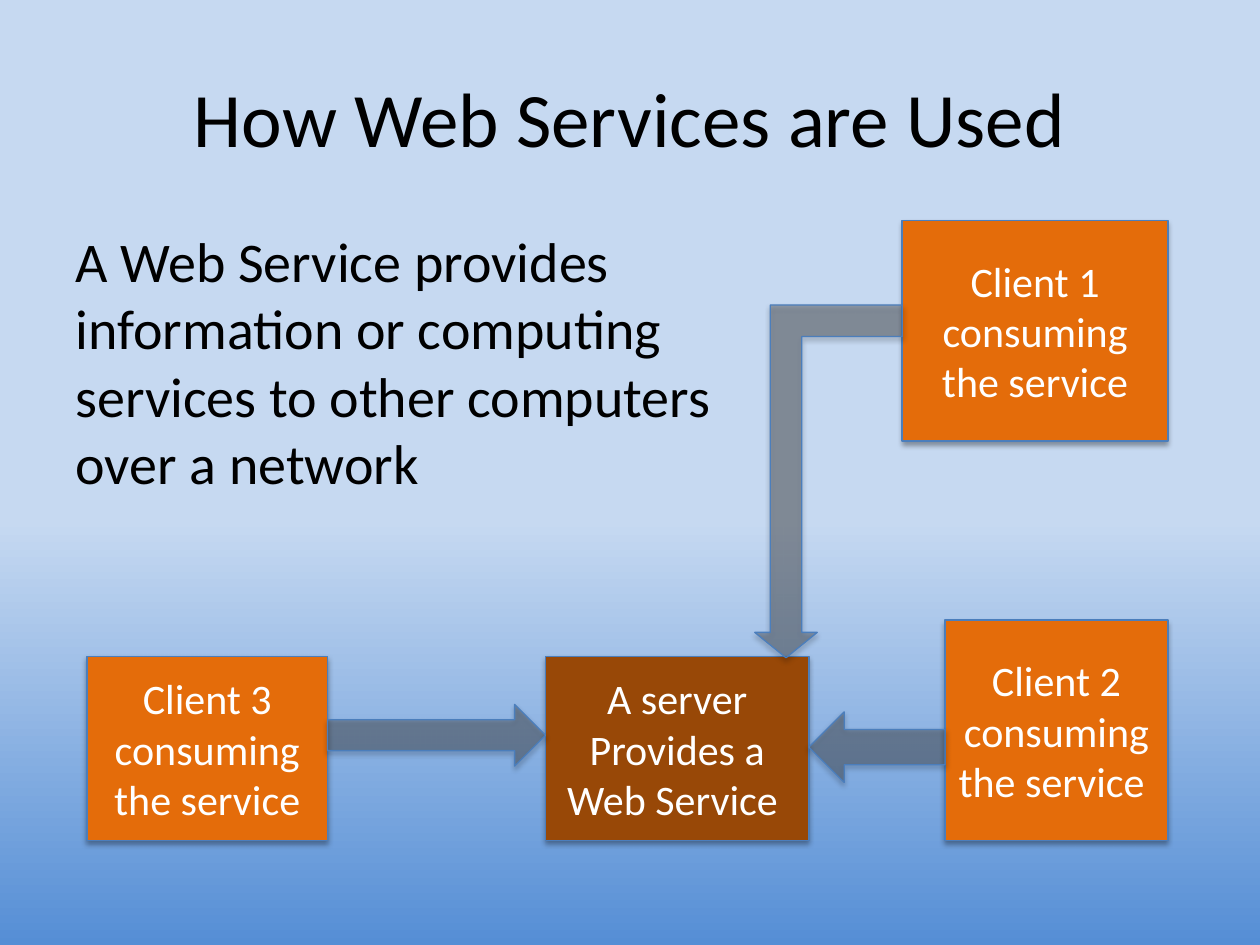
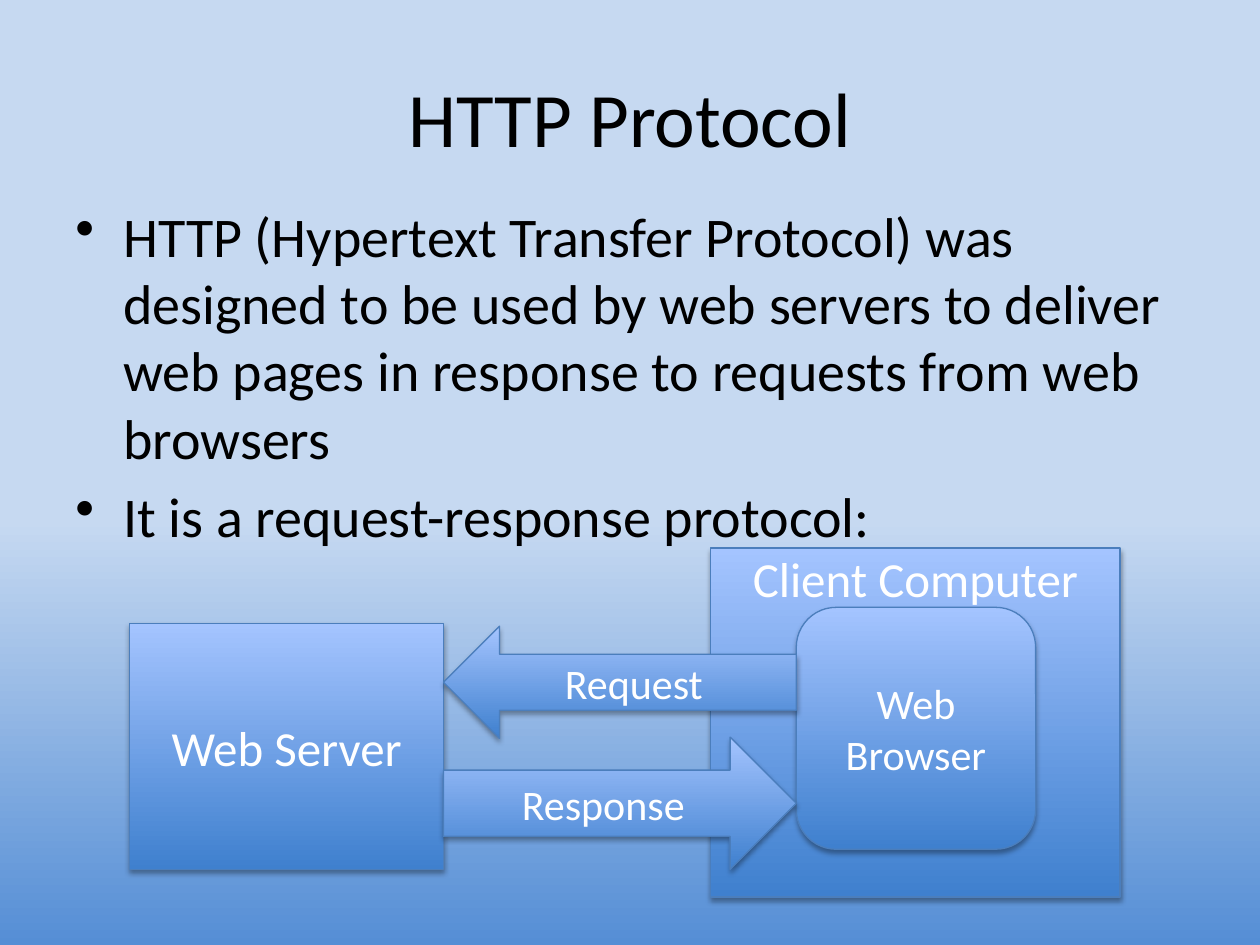
from dataclasses import dataclass
from lxml.etree import SubElement
from pptx import Presentation
from pptx.dml.color import RGBColor
from pptx.enum.shapes import MSO_SHAPE
from pptx.enum.text import MSO_ANCHOR, PP_ALIGN
from pptx.oxml.ns import qn
from pptx.util import Inches, Pt


@dataclass(frozen=True)
class Theme:
    font: str = "Calibri"
    ink: str = "000000"
    light: str = "FFFFFF"
    edge: str = "4B7EBC"
    client: str = "E46C0A"
    server: str = "984807"
    arrow: str = "404040"
    sky: tuple = ((0.55, "C6D9F1"), (1, "558ED5"))
    blue: tuple = ((0, "3F80CE"), (1, "A4C4FF"))
    title: int = 44
    body: int = 32
    label: int = 28
    small: int = 24


class Deck:
    COLS, ROWS = 10, 7.5  # one grid cell is a square inch

    def __init__(self, theme):
        self.theme = theme
        self.file = Presentation()
        self.file.slide_width = Inches(self.COLS)
        self.file.slide_height = Inches(self.ROWS)

    def page(self, title):
        """Start a slide with the shared background and title."""
        self.slide = self.file.slides.add_slide(self.file.slide_layouts[6])
        self.blend(self.slide.background.fill, self.theme.sky, 270)
        self.text((0.5, 0.3, 9, 1.25), [title], self.theme.title,
                  align=PP_ALIGN.CENTER, anchor=MSO_ANCHOR.MIDDLE)

    def blend(self, fill, stops, angle):
        fill.gradient()
        fill.gradient_angle = angle
        for stop, (place, color) in zip(fill.gradient_stops, stops):
            stop.position = place
            stop.color.rgb = RGBColor.from_string(color)

    def label(self, frame, lines, size, color, align, anchor):
        frame.word_wrap = True
        frame.vertical_anchor = anchor
        frame.text = "\n".join(lines)
        for para in frame.paragraphs:
            para.alignment = align
            para.font.name = self.theme.font
            para.font.size = Pt(size)
            para.font.color.rgb = RGBColor.from_string(color)

    def text(self, area, lines, size, align=PP_ALIGN.LEFT,
             anchor=MSO_ANCHOR.TOP):
        box = self.slide.shapes.add_textbox(*map(Inches, area))
        self.label(box.text_frame, lines, size, self.theme.ink, align, anchor)
        return box.text_frame

    def body(self, area, lines, bullet=False):
        frame = self.text(area, lines, self.theme.body)
        for para in frame.paragraphs:
            para.space_before = Pt(0.2 * self.theme.body)
            if bullet:
                props = para._p.get_or_add_pPr()
                props.set("marL", str(Inches(0.38)))
                props.set("indent", str(Inches(-0.38)))
                mark = props.makeelement(qn("a:buChar"), {"char": "•"})
                props.insert_element_before(mark, "a:tabLst", "a:defRPr")

    def shape(self, kind, area, fill, lines=(), size=None,
              anchor=MSO_ANCHOR.MIDDLE, alpha=None):
        item = self.slide.shapes.add_shape(kind, *map(Inches, area))
        props = item._element.spPr
        if isinstance(fill, tuple):
            self.blend(item.fill, fill, 90)
        else:
            item.fill.solid()
            item.fill.fore_color.rgb = RGBColor.from_string(fill)
        if alpha:
            color = props.find(qn("a:solidFill")).find(qn("a:srgbClr"))
            SubElement(color, qn("a:alpha"), val=str(alpha * 1000))
        item.line.color.rgb = RGBColor.from_string(self.theme.edge)
        item.line.width = Pt(0.75)
        self.shade(item)
        if lines:
            self.label(item.text_frame, lines, size or self.theme.small,
                       self.theme.light, PP_ALIGN.CENTER, anchor)
        return item

    def shade(self, item):
        """Give a shape the soft shadow below it."""
        item.shadow.inherit = False
        effects = item._element.spPr.find(qn("a:effectLst"))
        cast = SubElement(effects, qn("a:outerShdw"), blurRad=str(Pt(3.1)),
                          dist=str(Pt(1.8)), dir="5400000", rotWithShape="0")
        color = SubElement(cast, qn("a:srgbClr"), val=self.theme.ink)
        SubElement(color, qn("a:alpha"), val="35000")

    def arrow(self, kind, area):
        return self.shape(kind, area, self.theme.arrow, alpha=40)


theme = Theme()
deck = Deck(theme)
RECT, LEFT, RIGHT = MSO_SHAPE.RECTANGLE, MSO_SHAPE.LEFT_ARROW, MSO_SHAPE.RIGHT_ARROW

# Slide 1: three clients around one server
deck.page("How Web Services are Used")
deck.body((0.5, 1.75, 5.49, 3.17),
          ["A Web Service provides information or computing services "
           "to other computers over a network"])
floor, edge = 6.67, 9.27  # shared bottom and right edge of the boxes
top, server, end = 5.21, 4.33, 6.42
deck.shape(RECT, (server, top, end - server, floor - top), theme.server,
           ["A server", "Provides a", "Web Service "])
one, two, three = 7.16, 7.5, 0.69
deck.shape(RECT, (one, 1.75, edge - one, 1.75), theme.client,
           ["Client 1", "consuming the service"])
deck.shape(RECT, (two, floor - 1.75, edge - two, 1.75), theme.client,
           ["Client 2 consuming the service "])
deck.shape(RECT, (three, top, 1.91, floor - top), theme.client,
           ["Client 3 consuming the service"])

# Arrows fill the gaps between the boxes
gap = three + 1.91
deck.arrow(RIGHT, (gap, 5.59, server - gap, 0.49))
deck.arrow(LEFT, (end, 5.65, two - end, 0.56))
bend = deck.arrow(MSO_SHAPE.BENT_UP_ARROW, (5.99, 2.42, one - 5.99, 2.8))
bend.rotation = 180
for at, share in enumerate((0.214, 0.212, 0.172)):
    bend.adjustments[at] = share

# Slide 2: request and response
deck.page("HTTP Protocol")
deck.body((0.5, 1.55, 9, 2.8),
          ["HTTP (Hypertext Transfer Protocol) was designed to be used by web "
           "servers to deliver web pages in response to requests from web browsers",
           "It is a request-response protocol:"], bullet=True)
left, near, far = 1.03, 3.52, 6.32
deck.shape(RECT, (left, 4.95, near - left, 1.95), theme.blue,
           ["Web Server"], theme.label)
client = deck.shape(RECT, (5.64, 4.35, 3.25, 2.77), theme.blue,
                    ["Client Computer"], theme.label, MSO_ANCHOR.TOP)
client.text_frame.margin_top = 0
deck.shape(MSO_SHAPE.ROUNDED_RECTANGLE, (far, 4.82, 1.9, 1.92), theme.blue,
           ["Web Browser"])
for kind, row, high, word in ((LEFT, 4.97, 0.89, "Request"),
                              (RIGHT, 5.85, 1.05, "Response")):
    deck.shape(kind, (near, row, far - near, high), theme.blue, [word])

deck.file.save("out.pptx")
